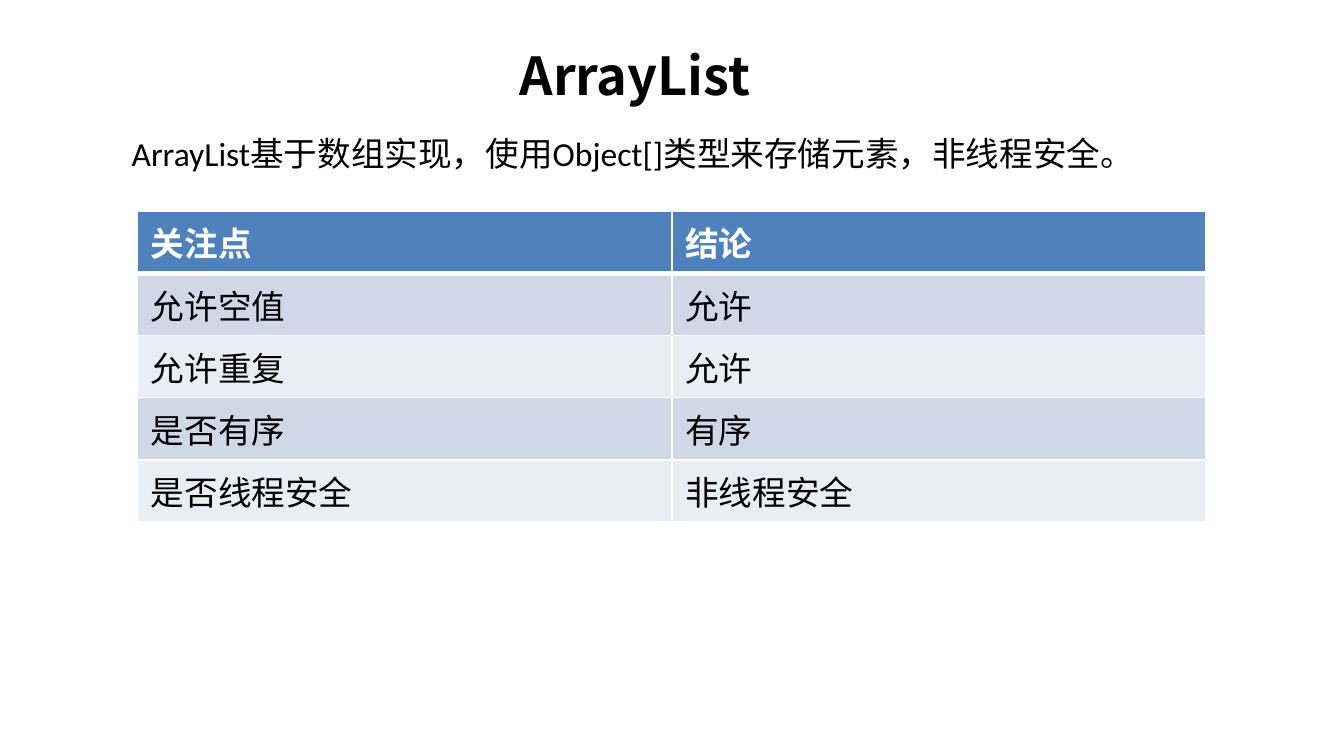
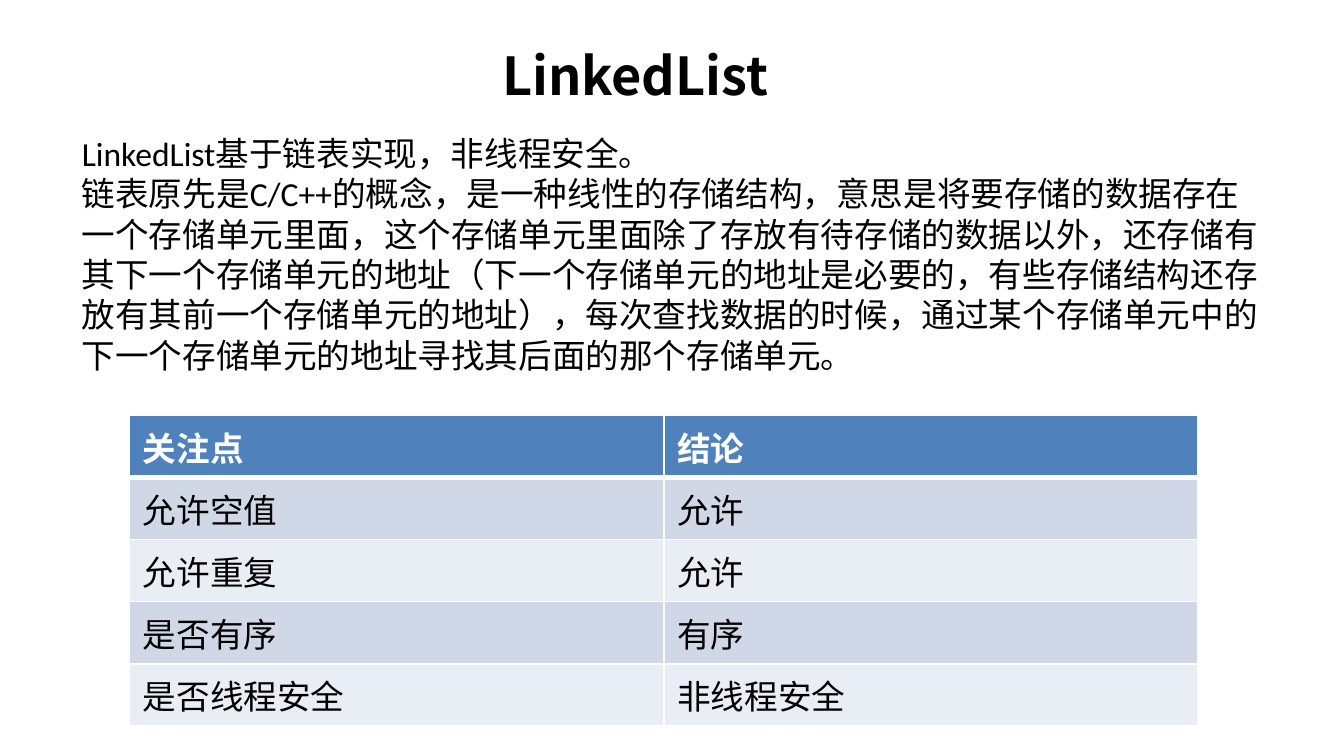
"""Build two slides that compare ArrayList and LinkedList."""
from lxml.etree import SubElement
from pptx import Presentation
from pptx.dml.color import RGBColor
from pptx.enum.text import MSO_ANCHOR, MSO_AUTO_SIZE, PP_ALIGN
from pptx.oxml.ns import qn
from pptx.util import Pt

CONCLUSIONS = [
    ("关注点", "结论"),
    ("允许空值", "允许"),
    ("允许重复", "允许"),
    ("是否有序", "有序"),
    ("是否线程安全", "非线程安全"),
]
SLIDES = [
    {
        "title": "ArrayList",
        "body": ["ArrayList基于数组实现，使用Object[]类型来存储元素，非线程安全。"],
        "body_box": (63.4, 67.7, 614, 29),
        "table_corner": (73.6, 113.2),
    },
    {
        "title": "LinkedList",
        "body": [
            "LinkedList基于链表实现，非线程安全。",
            "链表原先是C/C++的概念，是一种线性的存储结构，意思是将要存储的数据存在"
            "一个存储单元里面，这个存储单元里面除了存放有待存储的数据以外，还存储有"
            "其下一个存储单元的地址（下一个存储单元的地址是必要的，有些存储结构还存"
            "放有其前一个存储单元的地址），每次查找数据的时候，通过某个存储单元中的"
            "下一个存储单元的地址寻找其后面的那个存储单元。",
        ],
        "body_box": (36.7, 67.7, 647.3, 138),
        "table_corner": (69.3, 222.5),
    },
]

COLOURS = {
    "text": "000000",
    "white": "FFFFFF",
    "header": "4F81BD",
    "odd": "D0D8E8",
    "even": "E9EDF4",
}
CHINESE_FONT = "Noto Sans CJK SC"
TITLE_FORMAT = {"size": Pt(28), "bold": True, "name": CHINESE_FONT}
BODY_FORMAT = {"size": Pt(18), "bold": False, "name": "Calibri"}
HEADER_FORMAT = BODY_FORMAT | {"bold": True}
TITLE_BOX = (133.2, 25.2, 414, 29.5)
COLUMN_WIDTH, ROW_HEIGHT = 286.3, 28.8


def write(frame, lines, formats, colour="text", alignment=PP_ALIGN.LEFT):
    for index, line in enumerate(lines):
        paragraph = frame.paragraphs[0] if index == 0 else frame.add_paragraph()
        paragraph.alignment = alignment
        run = paragraph.add_run()
        run.text = line
        for name, value in formats.items():
            setattr(run.font, name, value)
        run.font.color.rgb = RGBColor.from_string(COLOURS[colour])
        properties = run.font._element
        SubElement(properties, qn("a:ea"), typeface=CHINESE_FONT)


def add_text(slide, box, lines, formats, anchor, **options):
    frame = slide.shapes.add_textbox(*map(Pt, box)).text_frame
    frame.word_wrap = True
    frame.auto_size = MSO_AUTO_SIZE.NONE
    frame.vertical_anchor = anchor
    write(frame, lines, formats, **options)


def add_borders(cell, widths):
    properties = cell._tc.get_or_add_tcPr()
    for side, width in widths.items():
        line = SubElement(properties, qn(f"a:ln{side}"), w=str(Pt(width)))
        fill = SubElement(line, qn("a:solidFill"))
        SubElement(fill, qn("a:srgbClr"), val=COLOURS["white"])


def add_table(slide, corner, rows):
    size = (COLUMN_WIDTH * len(rows[0]), ROW_HEIGHT * len(rows))
    table = slide.shapes.add_table(
        len(rows), len(rows[0]), *map(Pt, corner + size)
    ).table
    for row_index, row in enumerate(rows):
        is_header = row_index == 0
        band = "header" if is_header else ("even", "odd")[row_index % 2]
        widths = {
            "L": 1,
            "R": 1,
            "T": 3 if row_index == 1 else 1,
            "B": 3 if is_header else 1,
        }
        for column_index, text in enumerate(row):
            cell = table.cell(row_index, column_index)
            add_borders(cell, widths)
            cell.fill.solid()
            cell.fill.fore_color.rgb = RGBColor.from_string(COLOURS[band])
            write(
                cell.text_frame,
                [text],
                HEADER_FORMAT if is_header else BODY_FORMAT,
                "white" if is_header else "text",
            )


def main():
    presentation = Presentation()
    presentation.slide_width, presentation.slide_height = Pt(720), Pt(405)
    for content in SLIDES:
        slide = presentation.slides.add_slide(presentation.slide_layouts[6])
        add_text(
            slide, TITLE_BOX, [content["title"]], TITLE_FORMAT,
            MSO_ANCHOR.MIDDLE, alignment=PP_ALIGN.CENTER,
        )
        add_text(
            slide, content["body_box"], content["body"], BODY_FORMAT, MSO_ANCHOR.TOP
        )
        add_table(slide, content["table_corner"], CONCLUSIONS)
    presentation.save("out.pptx")


if __name__ == "__main__":
    main()
